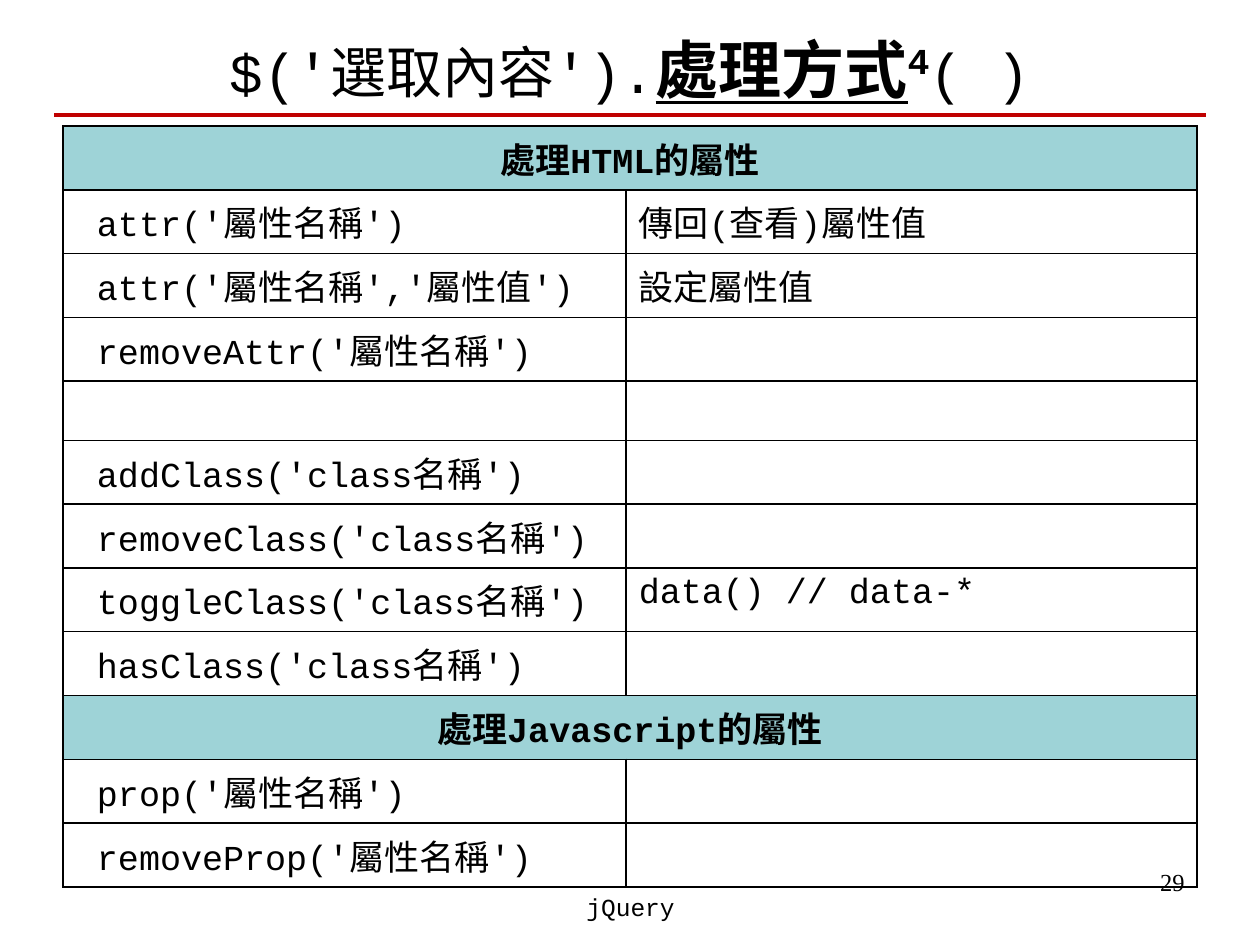
from lxml.etree import SubElement
from pptx import Presentation
from pptx.dml.color import RGBColor
from pptx.enum.shapes import MSO_CONNECTOR
from pptx.enum.text import MSO_ANCHOR, PP_ALIGN
from pptx.oxml import parse_xml
from pptx.oxml.ns import nsdecls, qn
from pptx.util import Inches, Pt

BLACK = RGBColor(0x00, 0x00, 0x00)
RED = RGBColor(0xC0, 0x00, 0x00)
TEAL = RGBColor(0x9E, 0xD3, 0xD7)
CODE_FONT = "Courier New"
NUMBER_FONT = "Times New Roman"

# One tuple per row; a single entry is a heading across both columns
METHOD_ROWS = [
    ("處理HTML的屬性",),
    ("attr('屬性名稱')", "傳回(查看)屬性值"),
    ("attr('屬性名稱','屬性值')", "設定屬性值"),
    ("removeAttr('屬性名稱')", ""),
    ("", ""),
    ("addClass('class名稱')", ""),
    ("removeClass('class名稱')", ""),
    ("toggleClass('class名稱')", "data() // data-*"),
    ("hasClass('class名稱')", ""),
    ("處理Javascript的屬性",),
    ("prop('屬性名稱')", ""),
    ("removeProp('屬性名稱')", ""),
]

# The empty row is lower; the other rows share the rest equally
TABLE_HEIGHT = 6.04
EMPTY_ROW_HEIGHT = 0.47
TEXT_ROW_HEIGHT = (TABLE_HEIGHT - EMPTY_ROW_HEIGHT) / (len(METHOD_ROWS) - 1)


def style_font(font, size, name=CODE_FONT, bold=False):
    font.name = name
    font.size = Pt(size)
    font.bold = bold
    font.color.rgb = BLACK


def add_text_box(page, left, top, width, height, align):
    box = page.shapes.add_textbox(Inches(left), Inches(top), Inches(width), Inches(height))
    box.text_frame.word_wrap = True
    box.text_frame.paragraphs[0].alignment = align
    return box


def add_label(page, text, left, top, width, height, align, font_name):
    box = add_text_box(page, left, top, width, height, align)
    para = box.text_frame.paragraphs[0]
    para.text = text
    style_font(para.runs[0].font, 14, font_name)


def add_title(page):
    box = add_text_box(page, 0.5, 0.16, 9, 0.76, PP_ALIGN.CENTER)
    box.text_frame.vertical_anchor = MSO_ANCHOR.MIDDLE
    para = box.text_frame.paragraphs[0]
    parts = [
        ("$('選取內容').", 32, False, False, 0),
        ("處理方式", 36, True, True, 0),
        ("4", 36, True, False, 30000),
        ("( )", 32, False, False, 0),
    ]
    for text, size, bold, underline, baseline in parts:
        span = para.add_run()
        span.text = text
        style_font(span.font, size, bold=bold)
        span.font.underline = underline
        if baseline:
            span._r.get_or_add_rPr().set("baseline", str(baseline))


def add_rule(page):
    rule = page.shapes.add_connector(
        MSO_CONNECTOR.STRAIGHT, Inches(0.43), Inches(0.91), Inches(9.57), Inches(0.91))
    rule.line.color.rgb = RED
    rule.line.width = Pt(2.25)
    SubElement(rule._element.spPr, qn("a:effectLst"))


def set_borders(cell):
    properties = cell._tc.get_or_add_tcPr()
    for index, side in enumerate(("lnL", "lnR", "lnT", "lnB")):
        properties.insert(index, parse_xml(
            f'<a:{side} {nsdecls("a")} w="{Pt(1)}"><a:solidFill>'
            f'<a:srgbClr val="{BLACK}"/></a:solidFill></a:{side}>'))


def fill_cell(cell, text, heading):
    para = cell.text_frame.paragraphs[0]
    para.text = text
    style_font(para.font, 20, bold=heading)
    for span in para.runs:
        style_font(span.font, 20, bold=heading)
    if heading:
        para.alignment = PP_ALIGN.CENTER


def add_method_table(page):
    frame = page.shapes.add_table(
        len(METHOD_ROWS), 2, Inches(0.5), Inches(1), Inches(9), Inches(TABLE_HEIGHT))
    table = frame.table
    table.first_row = False
    table.horz_banding = False
    for column, width in zip(table.columns, (4.47, 4.53)):
        column.width = Inches(width)

    for row_index, texts in enumerate(METHOD_ROWS):
        heading = len(texts) == 1
        table.rows[row_index].height = Inches(
            TEXT_ROW_HEIGHT if any(texts) else EMPTY_ROW_HEIGHT)
        left_cell, right_cell = table.cell(row_index, 0), table.cell(row_index, 1)
        for cell in (left_cell, right_cell):
            set_borders(cell)
            if heading:
                cell.fill.solid()
                cell.fill.fore_color.rgb = TEAL
            else:
                cell.fill.background()
        if heading:
            left_cell.merge(right_cell)
        else:
            left_cell.margin_left = Inches(0.27)
        for cell, text in zip((left_cell, right_cell), texts):
            fill_cell(cell, text, heading)


def main():
    deck = Presentation()
    deck.slide_width = Inches(10)
    deck.slide_height = Inches(7.5)
    page = deck.slides.add_slide(deck.slide_layouts[6])

    # Page number, title and rule
    add_label(page, "29", 7.17, 6.83, 2.33, 0.52, PP_ALIGN.RIGHT, NUMBER_FONT)
    add_title(page)
    add_rule(page)

    # Footer and table of methods
    add_label(page, "jQuery", 3.42, 7.03, 3.17, 0.5, PP_ALIGN.CENTER, CODE_FONT)
    add_method_table(page)

    deck.save("out.pptx")


if __name__ == "__main__":
    main()
